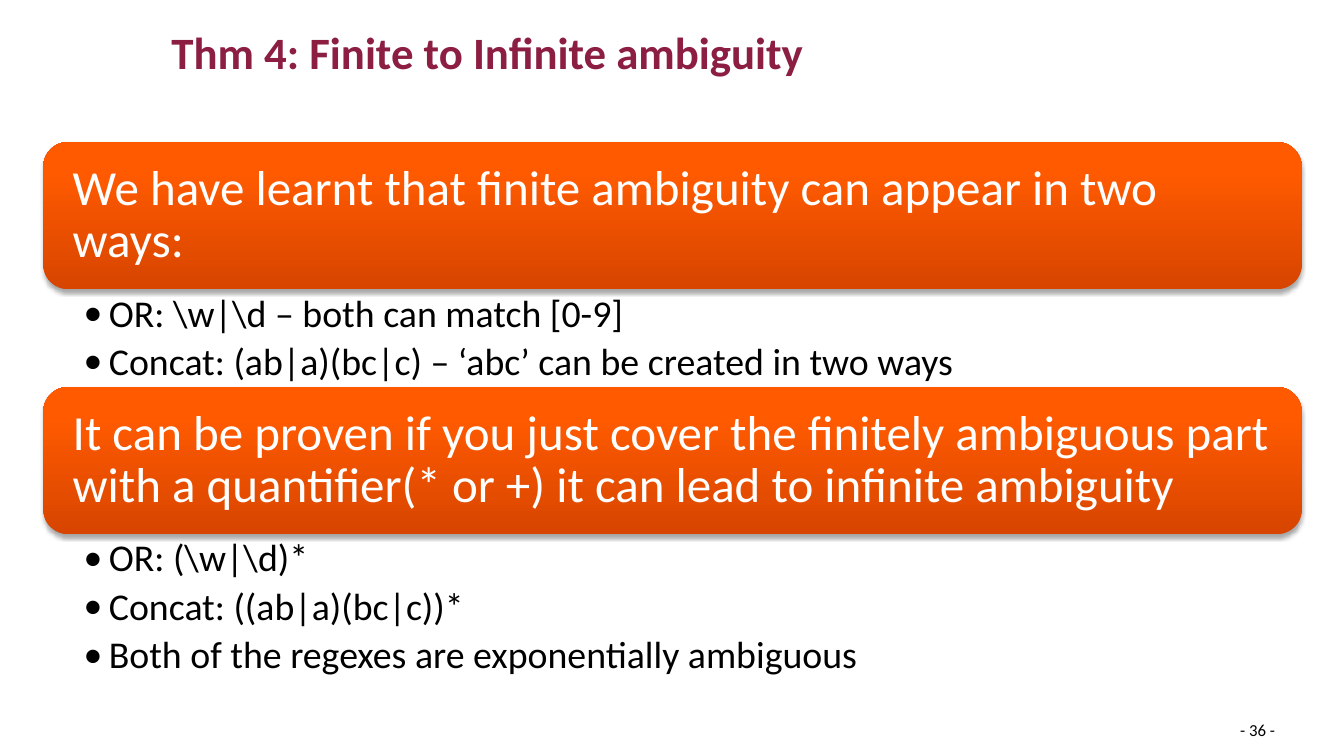
from pptx import Presentation
from pptx.dml.color import RGBColor
from pptx.enum.shapes import MSO_SHAPE as Shape
from pptx.enum.text import MSO_ANCHOR as Anchor, MSO_AUTO_SIZE as Auto, PP_ALIGN as Align
from pptx.oxml import parse_xml
from pptx.oxml.ns import nsdecls, qn
from pptx.util import Inches, Pt

TOP, STEP, HIGH = 1.41, 2.43, 1.46
LEFT, WIDE = 0.43, 12.48
PARTS = [
    ("We have learnt that finite ambiguity can appear in two ways:",
     ["OR: \\w|\\d – both can match [0-9]",
      "Concat: (ab|a)(bc|c) – ‘abc’ can be created in two ways"], 0.97),
    ("It can be proven if you just cover the finitely ambiguous part "
     "with a quantifier(* or +) it can lead to infinite ambiguity",
     ["OR: (\\w|\\d)*", "Concat: ((ab|a)(bc|c))*",
      "Both of the regexes are exponentially ambiguous"], 1.47),
]


def rgb(code):
    """Turn a hex string into a colour."""
    return RGBColor.from_string(code)


def place(shape, left, top, width, height):
    """Move and size a shape, in inches."""
    shape.left, shape.top = Inches(left), Inches(top)
    shape.width, shape.height = Inches(width), Inches(height)


def bullet(para):
    """Give a paragraph a hanging round bullet."""
    para.level = 1
    props = para._p.get_or_add_pPr()
    props.set("marL", str(Inches(0.25)))
    props.set("indent", str(-Inches(0.25)))
    for xml in (f'<a:buClr {nsdecls("a")}><a:srgbClr val="000000"/></a:buClr>',
                f'<a:buFont {nsdecls("a")} typeface="Calibri"/>',
                f'<a:buChar {nsdecls("a")} char="•"/>'):
        props.append(parse_xml(xml))


def write(shape, lines, size, color="000000", bold=False, anchor=Anchor.TOP,
          pads=(0.1, 0.05, 0.1, 0.05), space=0.9, gap=0, dots=False, wrap=True):
    """Fill a shape with formatted paragraphs."""
    frame = shape.text_frame
    frame.auto_size, frame.word_wrap = Auto.NONE, wrap
    frame.vertical_anchor = anchor
    (frame.margin_left, frame.margin_top,
     frame.margin_right, frame.margin_bottom) = map(Inches, pads)
    for i, line in enumerate(lines):
        para = frame.add_paragraph() if i else frame.paragraphs[0]
        if dots:
            bullet(para)
        para.alignment, para.line_spacing = Align.LEFT, space
        para.space_before, para.space_after = Pt(gap if i else 0), Pt(0)
        run = para.add_run()
        run.text = line
        font = run.font
        font.name, font.size, font.bold = "Calibri", Pt(size), bold
        font.color.rgb = rgb(color)


def shade(shape):
    """Add a soft shadow below a shape."""
    shape.shadow.inherit = False
    shape._element.spPr.find(qn("a:effectLst")).append(parse_xml(
        f'<a:outerShdw {nsdecls("a")} blurRad="{Pt(3.1)}" dist="{Pt(1.8)}" '
        'dir="5400000" rotWithShape="0"><a:srgbClr val="000000">'
        '<a:alpha val="34000"/></a:srgbClr></a:outerShdw>'))


def banner(slide, text, top):
    """Draw an orange rounded bar with a statement."""
    bar = slide.shapes.add_shape(Shape.ROUNDED_RECTANGLE, 0, 0, 0, 0)
    place(bar, LEFT, top, WIDE, HIGH)
    bar.adjustments[0] = 0.167
    bar.line.fill.background()
    bar.fill.gradient()
    bar.fill.gradient_angle = 90
    for stop, (pos, color) in zip(bar.fill.gradient_stops,
                                  [(0, "D74500"), (0.8, "FF5A00")]):
        stop.position, stop.color.rgb = pos, rgb(color)
    shade(bar)
    write(bar, [text], 35, color="FFFFFF", anchor=Anchor.MIDDLE,
          pads=(0.22, 0.22, 0.22, 0.22))


def main():
    """Build and save the slide."""
    deck = Presentation()
    deck.slide_width, deck.slide_height = Inches(13.33), Inches(7.5)
    slide = deck.slides.add_slide(deck.slide_layouts.get_by_name("Two Content"))
    title, *lists = slide.placeholders
    place(title, 1.6, 0.14, 11.73, 0.7)
    write(title, ["Thm 4: Finite to Infinite ambiguity"], 32,
          color="8B1E41", bold=True, anchor=Anchor.BOTTOM)
    for i, (body, (text, items, high)) in enumerate(zip(lists, PARTS)):
        top = TOP + i * STEP
        banner(slide, text, top)
        place(body, LEFT, top + HIGH, WIDE, high)
        write(body, items, 27, pads=(0.4, 0.05, 0.27, 0.05), gap=5.4, dots=True)
    page = slide.shapes.add_textbox(0, 0, 0, 0)
    place(page, 12.25, 7.12, 0.51, 0.24)
    write(page, ["- 36 -"], 12, pads=(0.05, 0.02, 0.05, 0.02), space=1.0, wrap=False)
    deck.save("out.pptx")


if __name__ == "__main__":
    main()
